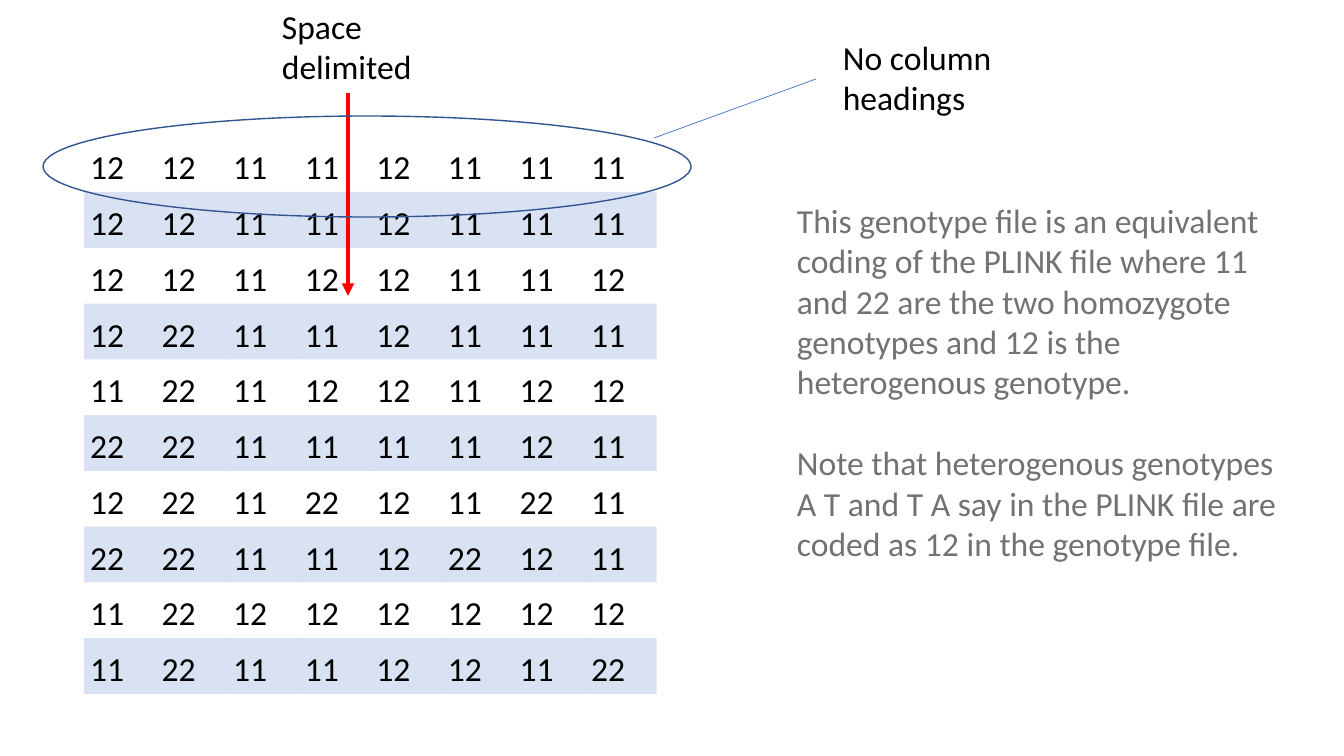
from dataclasses import dataclass

import pptx
import pptx.dml.color
import pptx.enum.shapes
import pptx.enum.text
import pptx.oxml.ns
import pptx.util
from lxml import etree

ROWS = [line.split() for line in (
    "12 12 11 11 12 11 11 11",
    "12 12 11 11 12 11 11 11",
    "12 12 11 12 12 11 11 12",
    "12 22 11 11 12 11 11 11",
    "11 22 11 12 12 11 12 12",
    "22 22 11 11 11 11 12 11",
    "12 22 11 22 12 11 22 11",
    "22 22 11 11 12 22 12 11",
    "11 22 12 12 12 12 12 12",
    "11 22 11 11 12 12 11 22",
)]
SPACE = ["Space", "delimited"]
HEADS = ["No column", "headings"]
ABOUT = ["This genotype file is an equivalent",
         "coding of the PLINK file where 11 and 22 are the two homozygote "
         "genotypes and 12 is the heterogenous genotype."]
NOTE = ["Note that heterogenous genotypes A T and T A say in the PLINK file "
        "are coded as 12 in the genotype file."]


@dataclass(frozen=True)
class Theme:
    font: str = "Calibri"
    size: int = 24
    gap: int = 29
    black: str = "000000"
    grey: str = "767171"
    blue: str = "4472C4"
    navy: str = "325491"
    red: str = "FF0000"
    band: int = 20


THEME = Theme()
GRID = (84, 140, 573, 554)
FIRST = 52
NO_GRID = "{2D5ABB26-0587-4C30-8999-92F81FD0307C}"
qn = pptx.oxml.ns.qn


def px(*nums):
    return [pptx.util.Emu(round(n * 914400 / 100.8)) for n in nums]


def rgb(code):
    return pptx.dml.color.RGBColor.from_string(code)


def write(frame, lines, color=THEME.black, breaks=()):
    """Fill a frame; paragraphs whose index is in breaks get a gap above."""
    for i, line in enumerate(lines):
        para = frame.paragraphs[0] if i == 0 else frame.add_paragraph()
        if i in breaks:
            para.space_before = pptx.util.Pt(THEME.gap)
        run = para.add_run()
        run.text = line
        run.font.name = THEME.font
        run.font.size = pptx.util.Pt(THEME.size)
        run.font.color.rgb = rgb(color)


def label(slide, box, lines, wrap=False, **form):
    frame = slide.shapes.add_textbox(*px(*box)).text_frame
    frame.word_wrap = wrap
    frame.auto_size = pptx.enum.text.MSO_AUTO_SIZE.SHAPE_TO_FIT_TEXT
    write(frame, lines, **form)


def link(slide, ends, color, width, head=False):
    kind = pptx.enum.shapes.MSO_CONNECTOR.STRAIGHT
    line = slide.shapes.add_connector(kind, *px(*ends))
    line.line.color.rgb = rgb(color)
    line.line.width = pptx.util.Pt(width)
    props = line._element.spPr
    if head:
        etree.SubElement(props.find(qn("a:ln")), qn("a:tailEnd"), type="triangle")
    etree.SubElement(props, qn("a:effectLst"))


def tint(cell):
    cell.fill.solid()
    cell.fill.fore_color.rgb = rgb(THEME.blue)
    color = cell._tc.tcPr.find(".//" + qn("a:srgbClr"))
    etree.SubElement(color, qn("a:alpha"), val=str(THEME.band * 1000))


def grid(slide):
    count, wide = len(ROWS), len(ROWS[0])
    table = slide.shapes.add_table(count, wide, *px(*GRID)).table
    table.first_row = table.horz_banding = False
    table._tbl.tblPr.find(qn("a:tableStyleId")).text = NO_GRID
    for col in table.columns:
        col.width = px(GRID[2] / wide)[0]
    rest = (GRID[3] - FIRST) / (count - 1)
    for r, codes in enumerate(ROWS):
        table.rows[r].height = px(rest if r else FIRST)[0]
        for c, code in enumerate(codes):
            cell = table.cell(r, c)
            cell.margin_left = cell.margin_right = px(6)[0]
            cell.margin_top = cell.margin_bottom = px(3)[0]
            cell.vertical_anchor = pptx.enum.text.MSO_ANCHOR.BOTTOM
            write(cell.text_frame, [code])
            if r % 2:
                tint(cell)
            else:
                cell.fill.background()


def ring(slide, box):
    oval = slide.shapes.add_shape(pptx.enum.shapes.MSO_SHAPE.OVAL, *px(*box))
    oval.shadow.inherit = False
    oval.fill.background()
    oval.line.color.rgb = rgb(THEME.navy)
    oval.line.width = pptx.util.Pt(1)


def main():
    deck = pptx.Presentation()
    deck.slide_width, deck.slide_height = px(1344, 756)
    slide = deck.slides.add_slide(deck.slide_layouts[6])
    grid(slide)
    link(slide, (348, 93, 348, 296), THEME.red, 3, head=True)
    label(slide, (272, 1, 151, 92), SPACE)
    ring(slide, (43, 116, 648, 101))
    link(slide, (654, 138, 816, 79), THEME.blue, 0.5)
    label(slide, (833, 32, 177, 92), HEADS)
    label(slide, (787, 195, 510, 377), ABOUT + NOTE, wrap=True,
          color=THEME.grey, breaks=(len(ABOUT),))
    deck.save("out.pptx")


if __name__ == "__main__":
    main()
